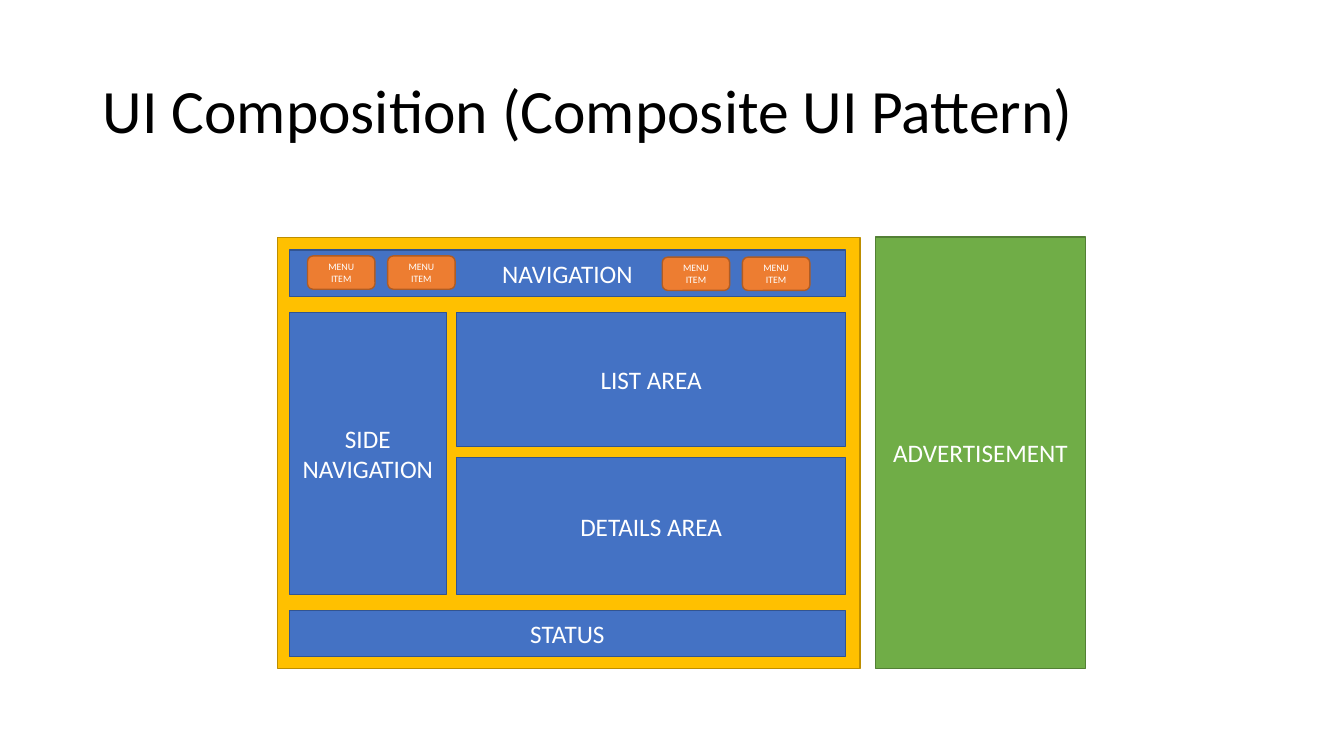
from dataclasses import dataclass

from pptx import Presentation
from pptx.dml.color import RGBColor
from pptx.enum.shapes import MSO_SHAPE as Shape
from pptx.enum.text import MSO_ANCHOR as Anchor, PP_ALIGN as Align
from pptx.util import Cm, Pt


@dataclass(frozen=True)
class Theme:
    font: str = "Calibri"
    title_size: int = 44
    label_size: int = 18
    menu_size: int = 7
    line_width: int = 1
    title_color: str = "000000"
    label_color: str = "FFFFFF"
    # Fill and outline pairs
    shell: tuple = ("FFC000", "BD8E00")
    advert: tuple = ("70AD47", "538035")
    region: tuple = ("4472C4", "325491")
    menu: tuple = ("ED7D31", "AF5C24")


class SlideBuilder:
    def __init__(self, slide, theme):
        self.slide = slide
        self.theme = theme

    def set_text(self, shape, text, size, color, align):
        frame = shape.text_frame
        frame.word_wrap = True
        frame.vertical_anchor = Anchor.MIDDLE
        paragraph = frame.paragraphs[0]
        paragraph.text = text
        paragraph.alignment = align
        font = paragraph.font
        font.name = self.theme.font
        font.size = Pt(size)
        font.color.rgb = RGBColor.from_string(color)
        return paragraph

    def title(self, text, left, top, width, height):
        box = self.slide.shapes.add_textbox(Cm(left), Cm(top), Cm(width), Cm(height))
        paragraph = self.set_text(box, text, self.theme.title_size,
                                  self.theme.title_color, Align.LEFT)
        paragraph.line_spacing = 0.9

    def block(self, text, left, top, width, height, colors,
              size=None, kind=Shape.RECTANGLE):
        shape = self.slide.shapes.add_shape(
            kind, Cm(left), Cm(top), Cm(width), Cm(height))
        shape.shadow.inherit = False
        fill, outline = colors
        shape.fill.solid()
        shape.fill.fore_color.rgb = RGBColor.from_string(fill)
        shape.line.color.rgb = RGBColor.from_string(outline)
        shape.line.width = Pt(self.theme.line_width)
        if text:
            self.set_text(shape, text, size or self.theme.label_size,
                          self.theme.label_color, Align.CENTER)

    def menu_item(self, left, top):
        self.block("MENU ITEM", left, top, 1.7, 0.84, self.theme.menu,
                   self.theme.menu_size, Shape.ROUNDED_RECTANGLE)


def main():
    presentation = Presentation()
    presentation.slide_width = Cm(33.87)
    presentation.slide_height = Cm(19.05)
    slide = presentation.slides.add_slide(presentation.slide_layouts[6])
    theme = Theme()
    builder = SlideBuilder(slide, theme)

    builder.title("UI Composition (Composite UI Pattern)", 2.34, 1.02, 29.21, 3.68)

    # Application shell and the advertisement beside it
    builder.block("", 6.99, 5.99, 14.68, 10.85, theme.shell)
    builder.block("ADVERTISEMENT", 22.07, 5.97, 5.28, 10.87, theme.advert)

    # Navigation bar with two pairs of menu items
    inner_left, inner_width, bar_height = 7.29, 14.02, 1.17
    builder.block("NAVIGATION", inner_left, 6.3, inner_width, bar_height, theme.region)
    menu_pitch = 2.02
    for pair_left, pair_top in ((7.75, 6.45), (16.69, 6.48)):
        for index in range(2):
            builder.menu_item(pair_left + index * menu_pitch, pair_top)

    # Side navigation and the two content areas
    body_top, body_height = 7.87, 7.11
    content_left = 11.51
    content_width = inner_left + inner_width - content_left
    builder.block("SIDE NAVIGATION", inner_left, body_top, 3.96, body_height, theme.region)
    builder.block("LIST AREA", content_left, body_top, content_width, 3.38, theme.region)
    builder.block("DETAILS AREA", content_left, 11.53, content_width, 3.45, theme.region)

    # Status bar
    builder.block("STATUS", inner_left, 15.38, inner_width, bar_height, theme.region)

    presentation.save("out.pptx")


if __name__ == "__main__":
    main()
